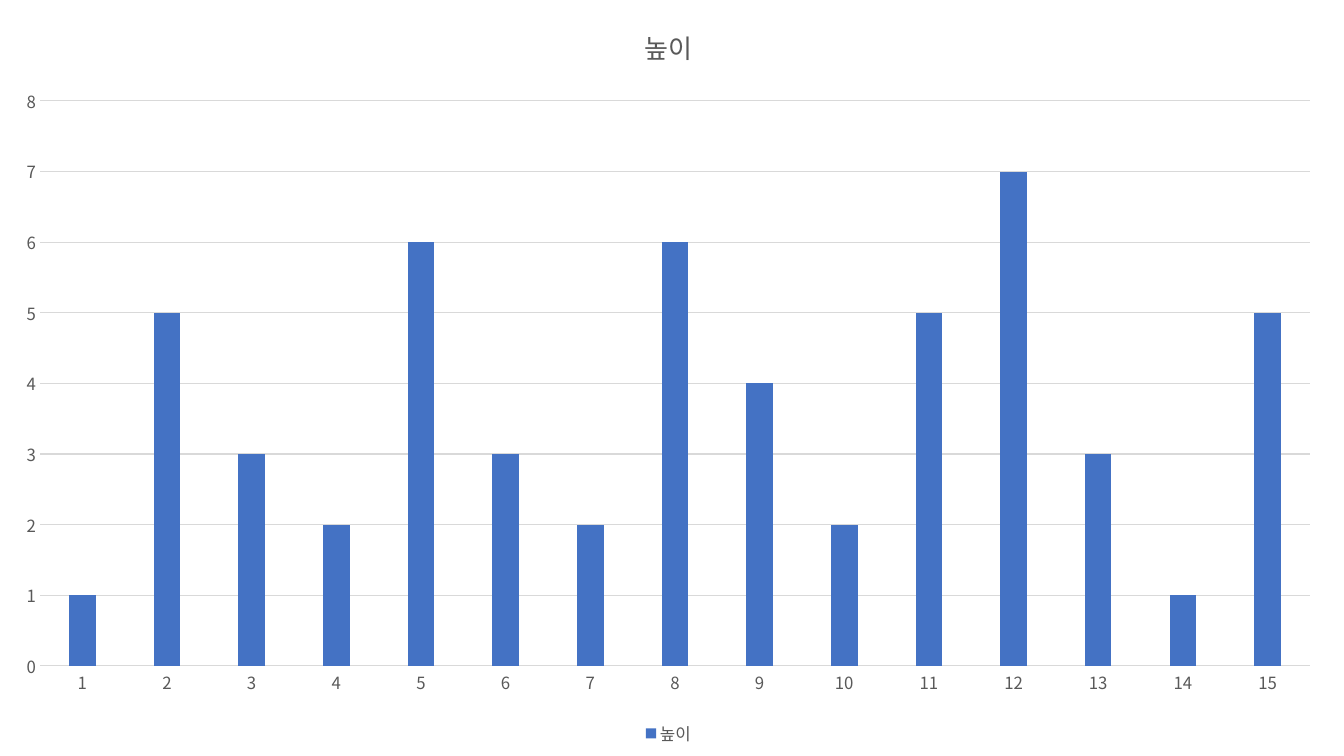
from dataclasses import dataclass

from lxml.etree import SubElement
from pptx import Presentation
from pptx.chart.chart import Chart
from pptx.chart.data import CategoryChartData
from pptx.dml.color import RGBColor
from pptx.dml.line import LineFormat
from pptx.enum.chart import XL_CHART_TYPE as ChartType
from pptx.enum.chart import XL_LEGEND_POSITION as LegendPosition
from pptx.enum.chart import XL_TICK_MARK as TickMark
from pptx.oxml.ns import qn
from pptx.text.text import Font
from pptx.util import Emu, Pt

EMU_PER_PIXEL = 914400 / 100.8
TYPEFACE = "Noto Sans CJK KR"
TEXT_GREY, GRID_GREY, BAR_BLUE = "595959", "D9D9D9", "4472C4"
HEIGHT_LABEL = "높이"
HEIGHTS = (1, 5, 3, 2, 6, 3, 2, 6, 4, 2, 5, 7, 3, 1, 5)


@dataclass(frozen=True)
class Box:
    left: int
    top: int
    width: int
    height: int


CHART_BOX = Box(0, 0, 1337, 750)
PLOT_BOX = Box(40, 101, 1270, 565)


def px(pixels: int) -> Emu:
    return Emu(round(pixels * EMU_PER_PIXEL))


def color(hex_code: str) -> RGBColor:
    return RGBColor.from_string(hex_code)


def style_font(font: Font, size: float) -> None:
    font.name = TYPEFACE
    font.size = Pt(size)
    font.bold = False
    font.color.rgb = color(TEXT_GREY)


def style_line(line: LineFormat) -> None:
    line.color.rgb = color(GRID_GREY)
    line.width = Pt(0.75)


def place_plot(chart: Chart, plot: Box, frame: Box) -> None:
    """Fix the inner plot area as fractions of the chart frame."""
    area = chart.element.find(".//" + qn("c:plotArea"))
    for automatic in area.findall(qn("c:layout")):
        area.remove(automatic)
    layout = SubElement(area, qn("c:layout"))
    area.insert(0, layout)
    manual = SubElement(layout, qn("c:manualLayout"))
    settings = {
        "layoutTarget": "inner", "xMode": "edge", "yMode": "edge",
        "x": plot.left / frame.width, "y": plot.top / frame.height,
        "w": plot.width / frame.width, "h": plot.height / frame.height,
    }
    for tag, value in settings.items():
        SubElement(manual, qn(f"c:{tag}")).set("val", str(value))


def use_typeface_for_korean(chart: Chart) -> None:
    for latin in list(chart.element.iter(qn("a:latin"))):
        korean = SubElement(latin.getparent(), qn("a:ea"))
        korean.set("typeface", TYPEFACE)
        latin.addnext(korean)


# Slide
deck = Presentation()
deck.slide_width, deck.slide_height = px(1344), px(756)
slide = deck.slides.add_slide(deck.slide_layouts[6])

# Heights by position
height_data = CategoryChartData()
height_data.categories = [str(n) for n in range(1, len(HEIGHTS) + 1)]
height_data.add_series(HEIGHT_LABEL, HEIGHTS)
chart = slide.shapes.add_chart(
    ChartType.COLUMN_CLUSTERED,
    px(CHART_BOX.left), px(CHART_BOX.top),
    px(CHART_BOX.width), px(CHART_BOX.height), height_data,
).chart
style_font(chart.font, 10)
chart.font.color.rgb = color("000000")

# Title and legend
heading = chart.chart_title.text_frame.paragraphs[0].add_run()
heading.text = HEIGHT_LABEL
style_font(heading.font, 18.6)
chart.has_legend = True
chart.legend.position = LegendPosition.BOTTOM
chart.legend.include_in_layout = False
style_font(chart.legend.font, 12)

# Bars
bars = chart.plots[0]
bars.gap_width, bars.overlap = 219, -27
bars.vary_by_categories = False
bar_fill = bars.series[0].format.fill
bar_fill.solid()
bar_fill.fore_color.rgb = color(BAR_BLUE)

# Axes
positions, scale = chart.category_axis, chart.value_axis
for axis in (positions, scale):
    axis.major_tick_mark = axis.minor_tick_mark = TickMark.NONE
    style_font(axis.tick_labels.font, 12)
style_line(positions.format.line)
scale.minimum_scale, scale.maximum_scale, scale.major_unit = 0, 8, 1
scale.format.line.fill.background()
scale.has_major_gridlines = True
style_line(scale.major_gridlines.format.line)

place_plot(chart, PLOT_BOX, CHART_BOX)
use_typeface_for_korean(chart)
deck.save("out.pptx")
